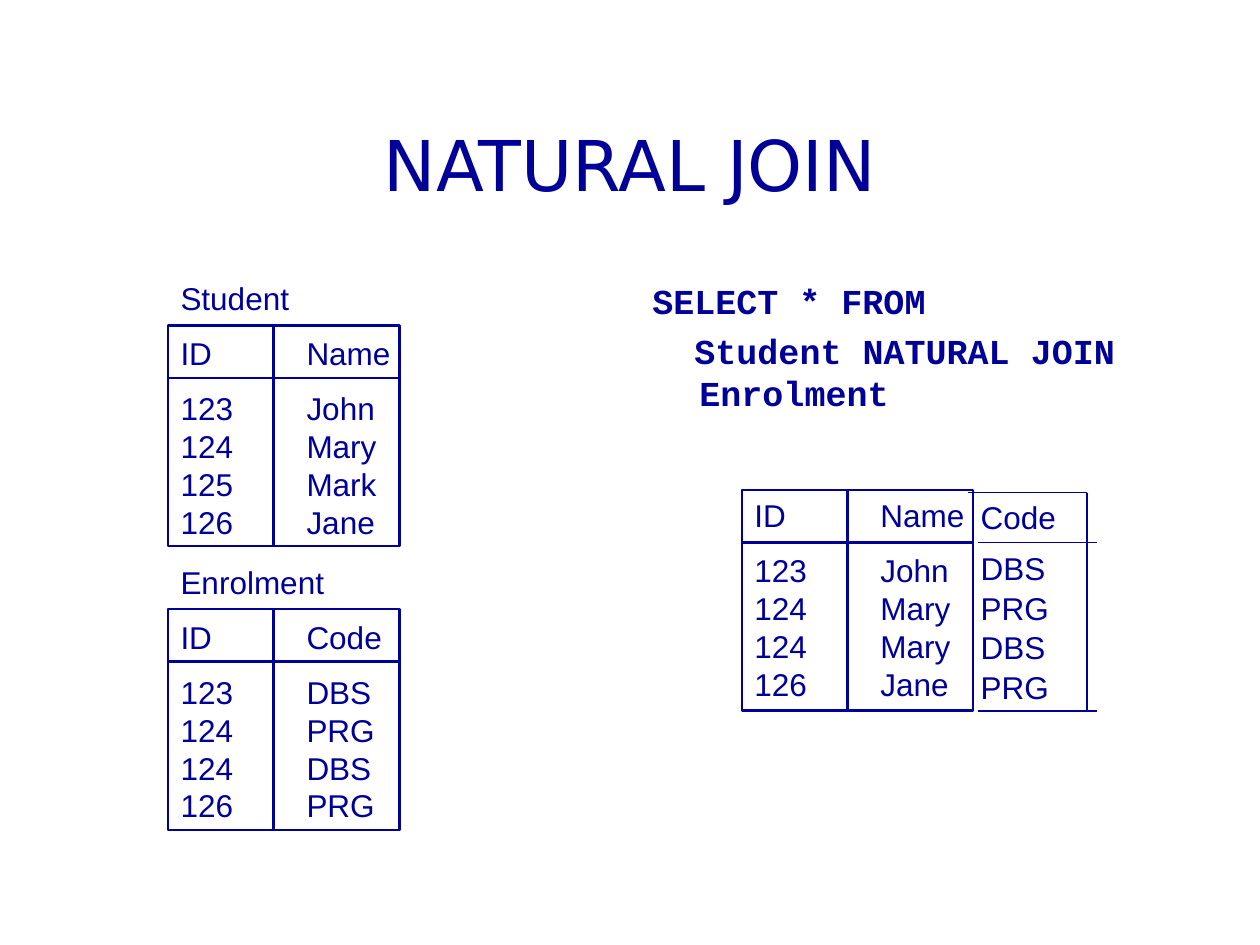
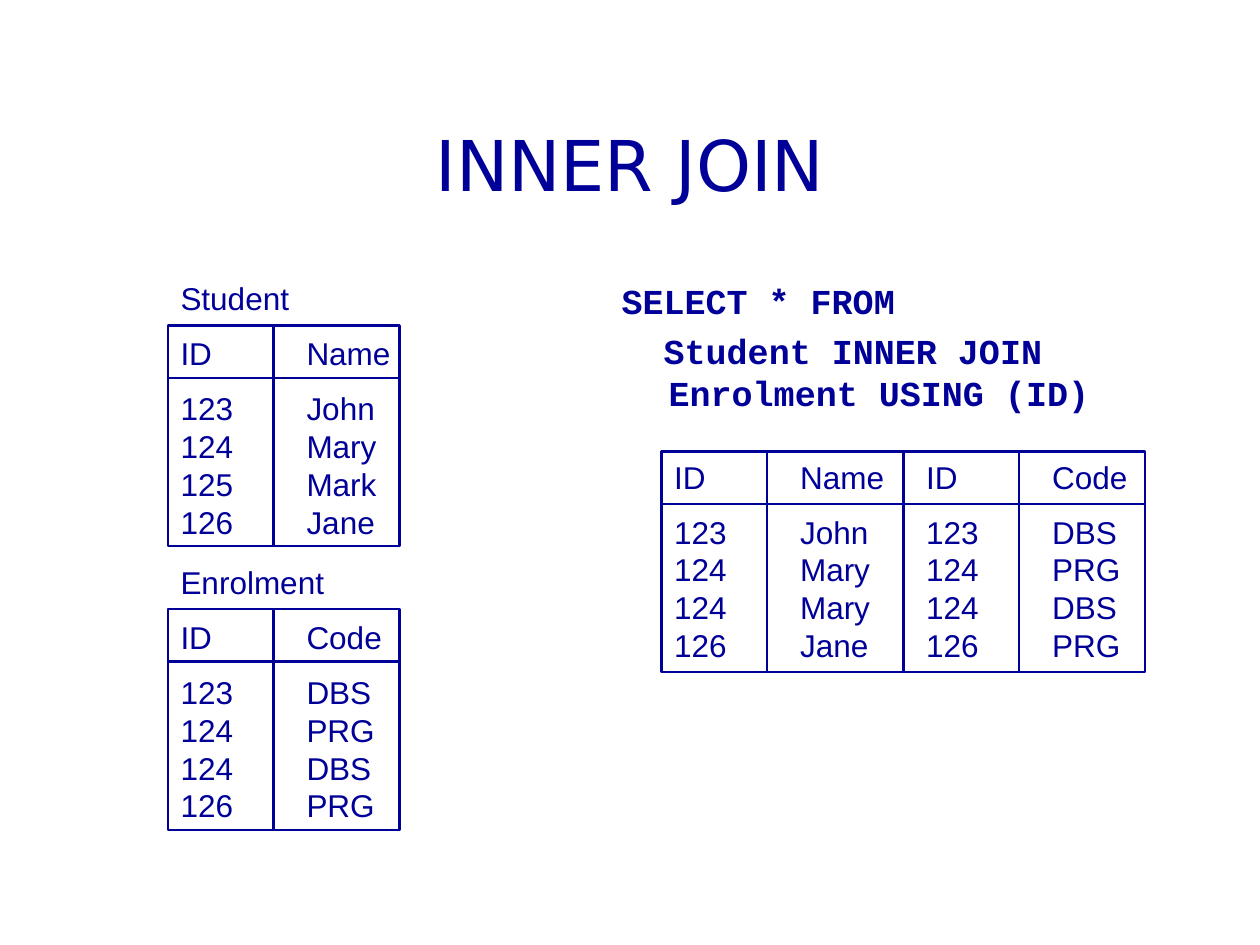
from dataclasses import dataclass

from lxml.etree import SubElement
from pptx import Presentation
from pptx.dml.color import RGBColor
from pptx.enum.shapes import MSO_CONNECTOR as Connector, MSO_SHAPE as Preset
from pptx.enum.text import MSO_ANCHOR as Anchor, PP_ALIGN as Align
from pptx.oxml.ns import qn
from pptx.util import Cm, Length, Pt


# Shared look
@dataclass(frozen=True)
class Theme:
    ink: RGBColor = RGBColor(0x00, 0x00, 0x99)
    title_font: str = "DejaVu Sans"
    code_font: str = "Courier New"
    table_font: str = "Arial"
    title_size: Length = Pt(40)
    code_size: Length = Pt(20)
    table_size: Length = Pt(18)
    code_gap: Length = Pt(5)
    row_gap: Length = Pt(9.9)
    thick: Length = Pt(1.5)
    thin: Length = Pt(0.75)


THEME = Theme()
TAB = Cm(2.54)
HEADER_HEIGHT = Cm(1.06)
TABLE_HEIGHT = Cm(4.45)
NARROW = Cm(4.66)
ID_WIDTH = Cm(2.12)
CODE_HANG = Cm(0.95)


@dataclass(frozen=True)
class Relation:
    rows: tuple[str, ...]
    left: Length
    top: Length
    caption: str = ""
    width: Length = NARROW
    dividers: tuple[Length, ...] = (ID_WIDTH,)


@dataclass(frozen=True)
class Query:
    lines: tuple[str, str]
    left: Length
    width: Length


@dataclass(frozen=True)
class JoinSlide:
    title: str
    query: Query
    result: Relation
    extra_column: tuple[str, ...] = ()


STUDENT = Relation(("ID\tName", "123\tJohn", "124\tMary", "125\tMark", "126\tJane"),
                   Cm(3.39), Cm(6.56), "Student")
ENROLMENT = Relation(("ID\tCode", "123\tDBS", "124\tPRG", "124\tDBS", "126\tPRG"),
                     Cm(3.39), Cm(12.28), "Enrolment")

SLIDES = (
    JoinSlide(
        "NATURAL JOIN",
        Query(("SELECT * FROM", "Student NATURAL JOIN Enrolment"), Cm(12.9), Cm(11)),
        Relation(("ID\tName", "123\tJohn", "124\tMary", "124\tMary", "126\tJane"),
                 Cm(14.96), Cm(9.88)),
        ("Code", "DBS", "PRG", "DBS", "PRG"),
    ),
    JoinSlide(
        "INNER JOIN",
        Query(("SELECT * FROM", "Student INNER JOIN Enrolment USING (ID)"),
              Cm(12.28), Cm(11.85)),
        Relation(("ID\tName\tID\tCode", "123\tJohn\t123\tDBS", "124\tMary\t124\tPRG",
                  "124\tMary\t124\tDBS", "126\tJane\t126\tPRG"),
                 Cm(13.34), Cm(9.1), width=Cm(9.74),
                 dividers=(ID_WIDTH, Cm(4.87), Cm(7.2))),
    ),
)


# Drawing helpers
def add_box(shapes, left: Length, top: Length, width: Length, height: Length):
    box = shapes.add_textbox(left, top, width, height)
    box.text_frame.word_wrap = True
    return box


def add_para(frame, first: bool, text: str, font: str, size: Length, bold: bool = False):
    para = frame.paragraphs[0] if first else frame.add_paragraph()
    para.alignment = Align.LEFT
    span = para.add_run()
    span.text = text
    span.font.name, span.font.size, span.font.bold = font, size, bold
    span.font.color.rgb = THEME.ink
    return para


def set_tabs(para, count: int) -> None:
    tabs = SubElement(para._p.get_or_add_pPr(), qn("a:tabLst"))
    for stop in range(1, count + 1):
        SubElement(tabs, qn("a:tab"), pos=str(stop * TAB), algn="l")


def add_line(shapes, x1: Length, y1: Length, x2: Length, y2: Length, weight: Length):
    line = shapes.add_connector(Connector.STRAIGHT, x1, y1, x2, y2)
    line.line.color.rgb = THEME.ink
    line.line.width = weight
    SubElement(line._element.spPr, qn("a:effectLst"))
    return line


# Slide parts
def add_title(page, text: str) -> None:
    box = add_box(page.shapes, Cm(1.9), Cm(1.7), Cm(21.6), Cm(3.18))
    box.text_frame.vertical_anchor = Anchor.MIDDLE
    para = add_para(box.text_frame, True, text, THEME.title_font, THEME.title_size)
    para.alignment = Align.CENTER


def add_query(page, query: Query) -> None:
    box = add_box(page.shapes, query.left, Cm(5.5), query.width, Cm(11.64))
    for index, (text, indent) in enumerate(zip(query.lines, (-CODE_HANG, Cm(-0.1)))):
        para = add_para(box.text_frame, index == 0, text,
                        THEME.code_font, THEME.code_size, True)
        para.space_before = THEME.code_gap
        properties = para._p.get_or_add_pPr()
        properties.set("marL", str(CODE_HANG))
        properties.set("indent", str(indent))


def add_relation(page, relation: Relation) -> None:
    shapes = page.shapes.add_group_shape().shapes
    left, top, width = relation.left, relation.top, relation.width
    frame = shapes.add_shape(Preset.RECTANGLE, left, top, width, TABLE_HEIGHT)
    frame.shadow.inherit = False
    frame.fill.background()
    frame.line.color.rgb = THEME.ink
    frame.line.width = THEME.thick

    # The caption sits in the same text box as the rows below it
    host, lines = frame, relation.rows
    if relation.caption:
        host = add_box(shapes, left, top - HEADER_HEIGHT, width,
                       TABLE_HEIGHT + HEADER_HEIGHT)
        lines = (relation.caption, *lines)
    text = host.text_frame
    text.vertical_anchor = Anchor.TOP
    text.margin_right = 0
    for index, line in enumerate(lines):
        para = add_para(text, index == 0, line, THEME.table_font, THEME.table_size)
        if 0 < index <= len(lines) - 4:
            para.space_before = THEME.row_gap
        set_tabs(para, line.count("\t"))

    # Header rule and column dividers
    rule = top + HEADER_HEIGHT
    add_line(shapes, left, rule, left + width, rule, THEME.thick)
    for offset in relation.dividers:
        x = left + offset
        divider = add_line(shapes, x, top, x, top + TABLE_HEIGHT, THEME.thick)
        if offset * 2 == width:
            divider.begin_connect(frame, 0)
            divider.end_connect(frame, 2)


def add_extra_column(page, values: tuple[str, ...], table: Relation) -> None:
    start = table.left + table.width
    top, rule = table.top + Cm(0.05), table.top + HEADER_HEIGHT
    bottom = table.top + TABLE_HEIGHT
    length, edge = Cm(2.4), start + Cm(2.29)
    for x, y in ((start + Cm(0.1), bottom), (start + Cm(0.1), rule), (edge - length, top)):
        add_line(page.shapes, x, y, x + length, y, THEME.thin)
    add_line(page.shapes, edge, top, edge, bottom, THEME.thin)
    for index, value in enumerate(values):
        y = rule + (index - 1) * Cm(0.8) if index else table.top + Cm(0.03)
        box = add_box(page.shapes, start - Cm(0.1), y, Cm(3), Cm(1.02))
        add_para(box.text_frame, True, value, THEME.table_font, THEME.table_size)


def main() -> None:
    deck = Presentation()
    deck.slide_width, deck.slide_height = Cm(25.4), Cm(19.05)
    for content in SLIDES:
        page = deck.slides.add_slide(deck.slide_layouts[6])
        add_title(page, content.title)
        add_query(page, content.query)
        for relation in (ENROLMENT, STUDENT, content.result):
            add_relation(page, relation)
        if content.extra_column:
            add_extra_column(page, content.extra_column, content.result)
    deck.save("out.pptx")


if __name__ == "__main__":
    main()
